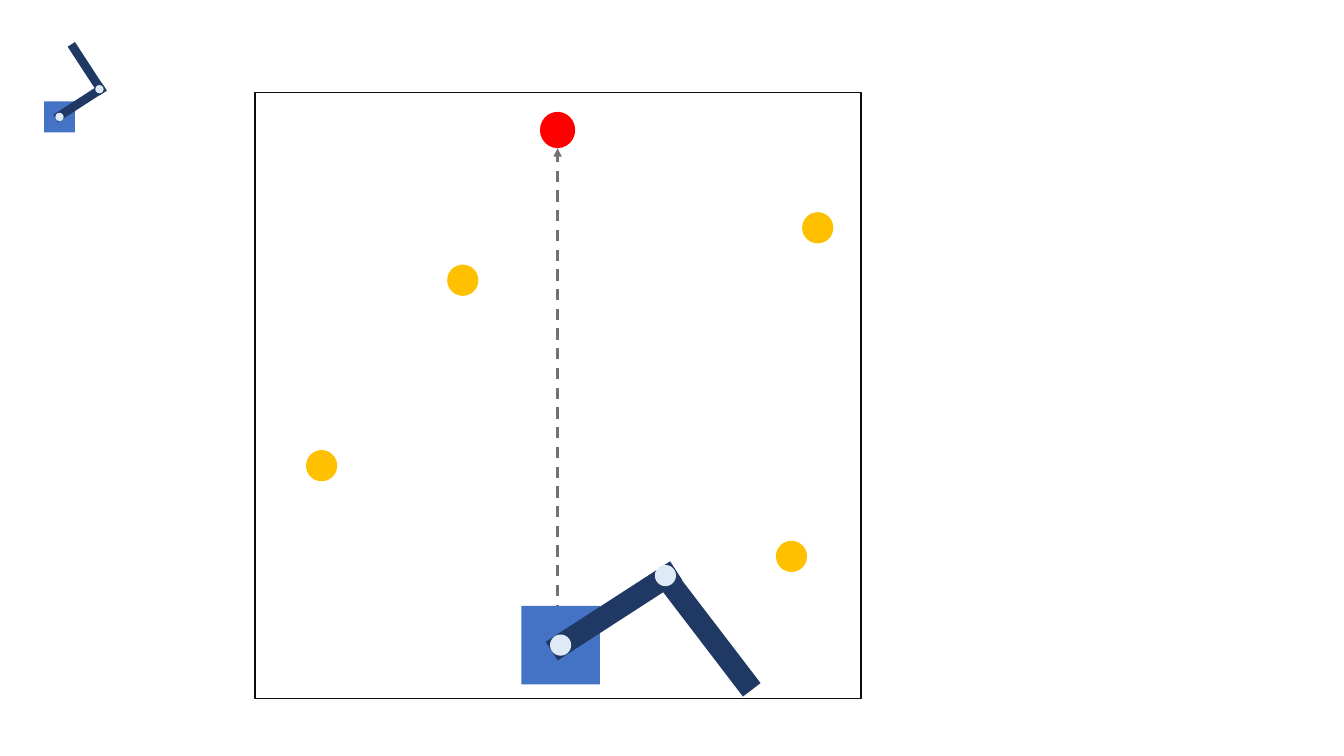
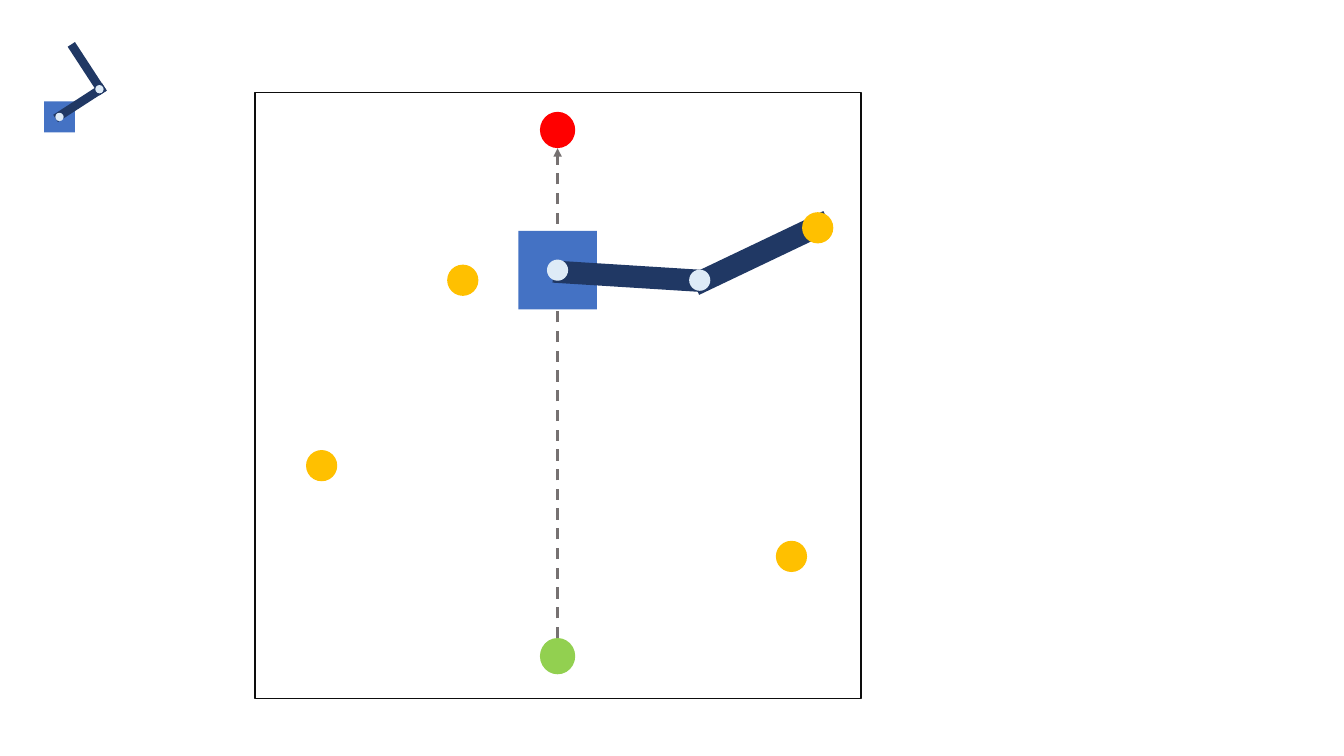
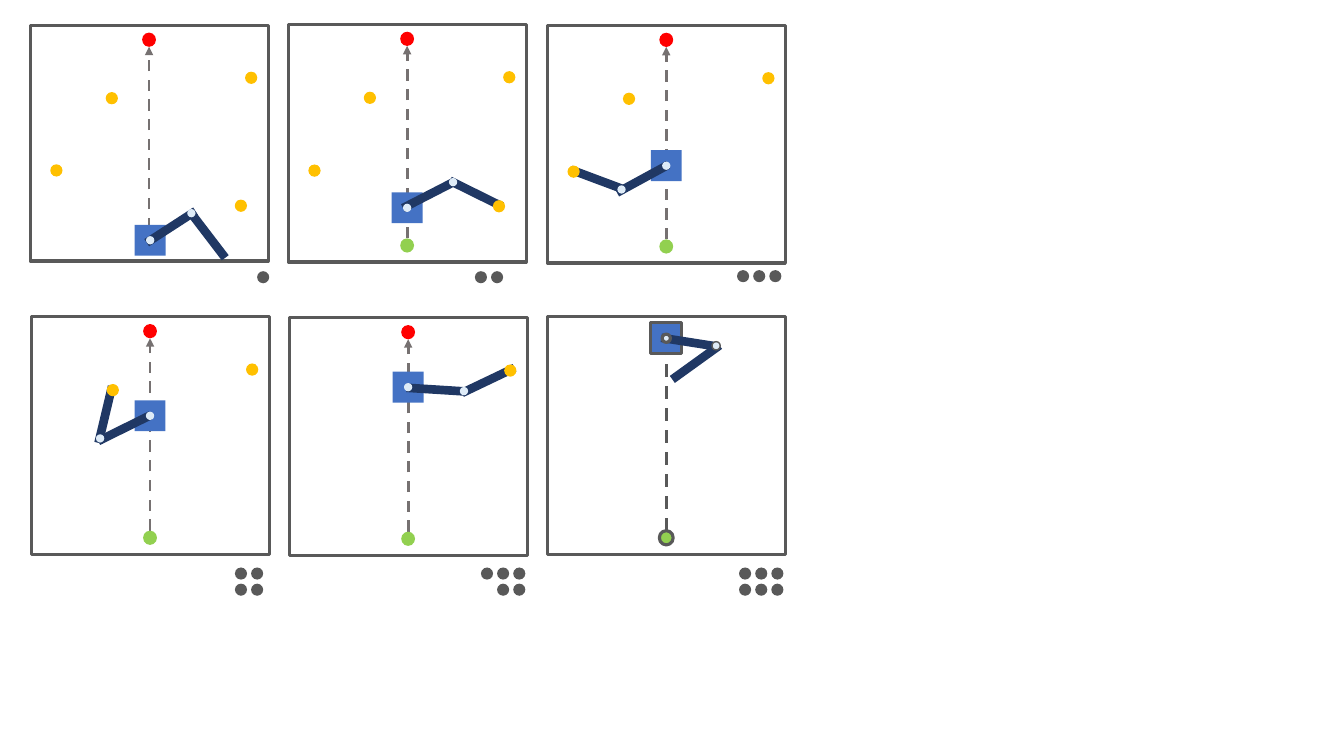
from dataclasses import dataclass

from lxml import etree
from pptx import Presentation
from pptx.dml.color import RGBColor
from pptx.enum.dml import MSO_LINE
from pptx.enum.shapes import MSO_CONNECTOR, MSO_SHAPE
from pptx.oxml.ns import qn
from pptx.util import Inches, Pt

RED, GREEN, GOLD = "FF0000", "92D050", "FFC000"
BLUE, NAVY, PALE = "4472C4", "203864", "DEEBF7"
BLACK, GRAY, DARK = "0D0D0D", "767171", "595959"

FIELD = 6.01
SMALL = 2.36 / FIELD
MID = 3.0
BALLS = [(5.32, 4.6), (0.66, 3.7), (2.06, 1.86), (5.58, 1.34)]


@dataclass
class Pose:
    upper: tuple
    fore: tuple
    elbow: tuple


HOME = Pose((0.52, -0.36, 327.1), (0.7, -1.22, 236.9), (1.01, -0.7))
REST = Pose((0.53, -0.34, 327.1), (1.45, -0.14, 52.6), (1.04, -0.69))
PICK_1 = Pose((0.55, -0.33, 332.8), (1.74, -0.36, 26.3), (1.16, -0.65))
PICK_2 = Pose((-0.6, 0.33, 151.4), (-1.72, 0.36, 20.5), (-1.13, 0.6))
PICK_3 = Pose((-0.65, 0.31, 153.7), (-1.13, -0.03, 103.4), (-1.26, 0.57))
PICK_4 = Pose((0.69, 0.06, 183.6), (2.02, -0.17, 154.5), (1.41, 0.1))
FOLDED = Pose((0.6, 0.1, 188.9), (0.75, 0.61, 324.2), (1.26, 0.19))


def rgb(value):
    return RGBColor.from_string(value)


class Deck:
    def __init__(self):
        self.prs = Presentation()
        self.prs.slide_width = Inches(13.33)
        self.prs.slide_height = Inches(7.5)

    def slide(self):
        self.s = self.prs.slides.add_slide(self.prs.slide_layouts[6])

    def group(self, x=0, y=0, kx=1, ky=1):
        self.shapes = self.s.shapes.add_group_shape().shapes
        self.x, self.y, self.kx, self.ky = x, y, kx, ky

    def place(self, x, y):
        return Inches(self.x + x * self.kx), Inches(self.y + y * self.ky)

    def shape(self, kind, center, w, h, fill=None, line=None, width=2.25, angle=0):
        cx, cy = self.place(*center)
        w, h = Inches(w), Inches(h)
        sp = self.shapes.add_shape(kind, cx - w // 2, cy - h // 2, w, h)
        sp.shadow.inherit = False
        sp.rotation = angle
        if fill:
            sp.fill.solid()
            sp.fill.fore_color.rgb = rgb(fill)
        else:
            sp.fill.background()
        if line:
            sp.line.color.rgb = rgb(line)
            sp.line.width = Pt(width)
        else:
            sp.line.fill.background()

    def rect(self, center, w, h, *args, **style):
        self.shape(MSO_SHAPE.RECTANGLE, center, w, h, *args, **style)

    def disc(self, center, w, h, *args, **style):
        self.shape(MSO_SHAPE.OVAL, center, w, h, *args, **style)

    def arrow(self, start, end, color, width):
        c = self.shapes.add_connector(
            MSO_CONNECTOR.STRAIGHT, *self.place(*start), *self.place(*end))
        c.line.color.rgb = rgb(color)
        c.line.width = Pt(width)
        c.line.dash_style = MSO_LINE.DASH
        ln = c.line._get_or_add_ln()
        etree.SubElement(ln, qn("a:tailEnd"), type="triangle")
        etree.SubElement(c._element.spPr, qn("a:effectLst"))

    def robot(self, x, y, pose, line=None):
        k = self.kx
        self.rect((x, y), 0.78 * k, 0.78 * k, BLUE, line)
        for dx, dy, angle in (pose.upper, pose.fore):
            self.rect((x + dx, y + dy), 1.47 * k, 0.22 * k, NAVY, angle=angle)
        for (dx, dy), width in ((pose.elbow, 1), ((0, 0), 2.25)):
            self.disc((x + dx, y + dy), 0.21 * k, 0.21 * k, PALE, line, width)

    def field(self, x, y, base, pose, size=(FIELD, FIELD), frame=(BLACK, 1),
              path=(GRAY, 2), collected=0, start=True, goal=True, outline=None):
        w, h = size
        self.group(x, y, w / FIELD, h / FIELD)
        k = self.kx
        self.rect((FIELD / 2, FIELD / 2), w, h, None, *frame)
        self.arrow((MID, 5.41 if start else 5.19), (MID, 0.55), *path)
        if goal:
            self.disc((MID, 0.37), 0.35 * k, 0.36 * k, RED)
        if start:
            self.disc((MID, 5.59), 0.35 * k, 0.36 * k, GREEN, outline)
        self.robot(*base, pose, outline)
        for ball in BALLS[collected:]:
            self.disc(ball, 0.31 * k, 0.31 * k, GOLD)

    def icon(self):
        self.group(0.59, 1.16, SMALL, SMALL)
        self.robot(0, 0, HOME)

    def dots(self, right, top, rows):
        self.group(right, top)
        for row, count in enumerate(rows):
            for col in range(count):
                self.disc((-0.16 * col, 0.16 * row), 0.12, 0.12, DARK)


def main():
    deck = Deck()

    deck.slide()
    deck.icon()
    deck.field(2.53, 0.92, (3.03, 5.48), REST, start=False)

    deck.slide()
    deck.icon()
    deck.field(2.53, 0.92, (MID, 1.76), PICK_4)

    deck.slide()
    small = dict(size=(2.36, 2.36), frame=(DARK, 2.25))
    first = dict(small, size=(2.36, 2.34), start=False)
    last = dict(small, path=(DARK, 2.25), goal=False, outline=DARK)
    steps = [
        (0.3, 0.25, (3.03, 5.48), REST, 0, first),
        (2.86, 0.24, (MID, 4.64), PICK_1, 0, small),
        (5.43, 0.25, (MID, 3.55), PICK_2, 1, small),
        (0.31, 3.14, (MID, 2.51), PICK_3, 2, small),
        (2.87, 3.15, (MID, 1.76), PICK_4, 3, small),
        (5.43, 3.14, (MID, 0.55), FOLDED, 4, last),
    ]
    for x, y, base, pose, collected, style in steps:
        deck.field(x, y, base, pose, collected=collected, **style)

    for right, top, rows in [
        (2.61, 2.75, [1]), (4.93, 2.75, [2]), (7.69, 2.74, [3]),
        (2.55, 5.69, [2, 2]), (5.15, 5.69, [3, 2]), (7.71, 5.69, [3, 3]),
    ]:
        deck.dots(right, top, rows)

    deck.prs.save("out.pptx")


if __name__ == "__main__":
    main()
